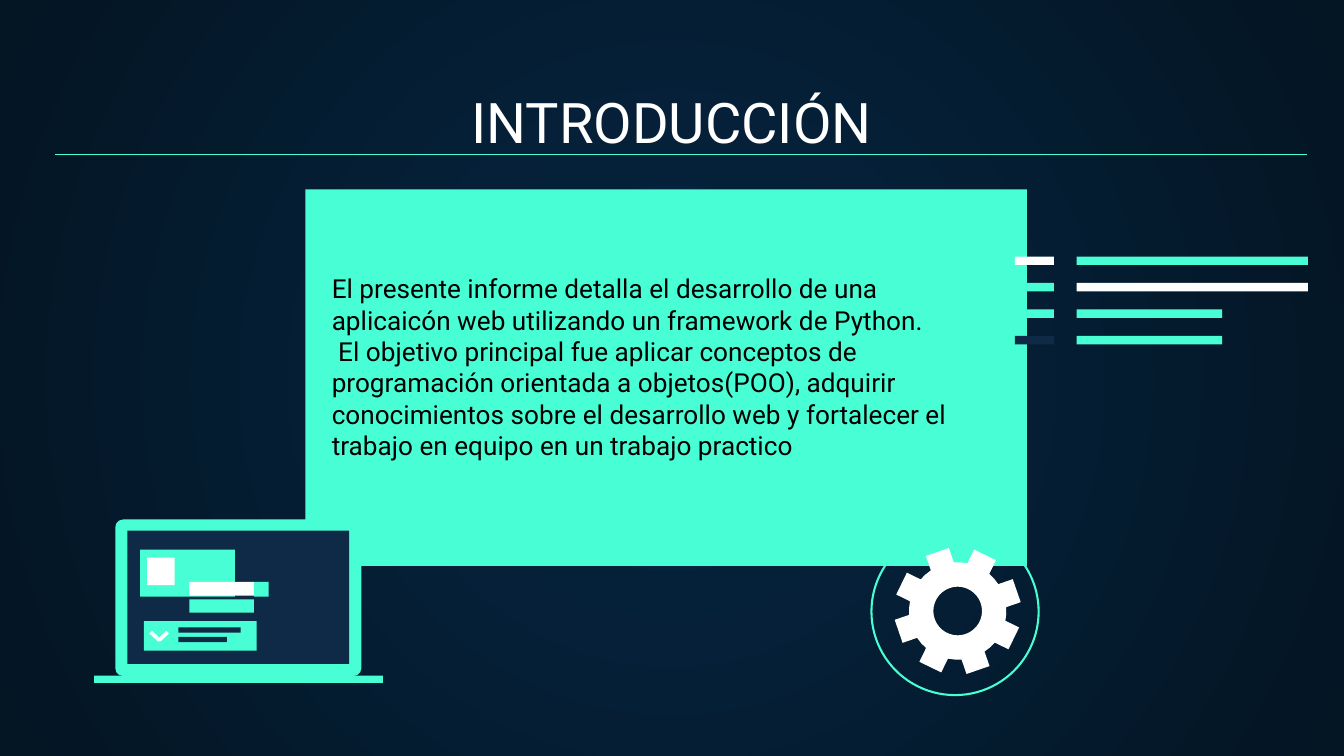
from dataclasses import dataclass
from math import asin, cos, radians, sin

from lxml.etree import SubElement
from pptx import Presentation
from pptx.dml.color import RGBColor as Color
from pptx.enum.shapes import MSO_CONNECTOR as Connector, MSO_SHAPE as Shape
from pptx.enum.text import MSO_ANCHOR as Anchor, MSO_AUTO_SIZE as Fit, PP_ALIGN as Align
from pptx.oxml.ns import qn
from pptx.util import Cm, Pt


@dataclass(frozen=True)
class Theme:
    mint: Color = Color.from_string("48FFD5")
    white: Color = Color.from_string("FFFFFF")
    navy: Color = Color.from_string("0E2A47")
    black: Color = Color.from_string("000000")
    glow: Color = Color.from_string("052643")
    edge: Color = Color.from_string("041523")
    font: str = "Roboto"
    title: Pt = Pt(30)
    body: Pt = Pt(14)
    rule: Pt = Pt(0.75)
    ring: Pt = Pt(1.1)
    chevron: Pt = Pt(2)


def paint(shape, fill=None, line=None, width=None):
    shape.shadow.inherit = False
    if fill is None:
        shape.fill.background()
    else:
        shape.fill.solid()
        shape.fill.fore_color.rgb = fill
    if line is None:
        shape.line.fill.background()
    else:
        shape.line.color.rgb = line
        shape.line.width = width


def polar(centre, radius, degrees):
    x, y = centre
    angle = radians(degrees)
    return Cm(x + radius * cos(angle)), Cm(y + radius * sin(angle))


theme = Theme()
deck = Presentation()
deck.slide_width, deck.slide_height = Cm(25.4), Cm(14.29)
page = deck.slides.add_slide(deck.slide_layouts[0])
shapes = page.shapes

backdrop = page.background.fill
backdrop.gradient()
for stop, color in zip(backdrop.gradient_stops, (theme.glow, theme.edge)):
    stop.color.rgb = color
gradient = page.element.find(".//" + qn("a:gradFill"))
gradient.remove(gradient.find(qn("a:lin")))
circle = SubElement(gradient, qn("a:path"), {"path": "circle"})
SubElement(circle, qn("a:fillToRect"), dict.fromkeys("ltrb", "50000"))

title, body = page.placeholders
panel = shapes.add_shape(Shape.RECTANGLE, Cm(5.77), Cm(3.58), Cm(13.64), Cm(7.12))
paint(panel, theme.mint)
title.element.addprevious(panel.element)

introduction = (
    "El presente informe detalla el desarrollo de una aplicaicón web utilizando un framework de Python.",
    " El objetivo principal fue aplicar conceptos de programación orientada a objetos(POO), "
    "adquirir conocimientos sobre el desarrollo web y fortalecer el trabajo en equipo en un trabajo practico",
)
frame_format = {
    "word_wrap": True,
    "auto_size": Fit.NONE,
    "vertical_anchor": Anchor.BOTTOM,
    **{f"margin_{side}": Cm(0.25) for side in ("left", "top", "right", "bottom")},
}
for box, place, lines, size, color, align in (
    (title, (0.86, 1.5, 23.67, 1.68), ("INTRODUCCIÓN",), theme.title, theme.white, Align.CENTER),
    (body, (6.02, 4.67, 13.16, 4.29), introduction, theme.body, theme.black, Align.LEFT),
):
    for name, value in zip(("left", "top", "width", "height"), place):
        setattr(box, name, Cm(value))
    frame = box.text_frame
    for name, value in frame_format.items():
        setattr(frame, name, value)
    frame.text = "\n".join(lines)
    for para in frame.paragraphs:
        for name, value in {"alignment": align, "space_before": Pt(0), "space_after": Pt(0)}.items():
            setattr(para, name, value)
        for span in para.runs:
            for name, value in {"name": theme.font, "size": size, "bold": False}.items():
                setattr(span.font, name, value)
            span.font.color.rgb = color

underline = shapes.add_connector(Connector.STRAIGHT, Cm(1.04), Cm(2.92), Cm(24.71), Cm(2.92))
underline.line.color.rgb = theme.mint
underline.line.width = theme.rule
SubElement(underline.element.spPr, qn("a:effectLst"))

ring = shapes.add_shape(Shape.ARC, Cm(16.47), Cm(9.98), Cm(3.16), Cm(3.16))
paint(ring, None, theme.mint, theme.ring)
for index, degrees in enumerate((-15, -127)):
    ring.adjustments[index] = degrees * 0.6

hub = (18.1, 11.55)
root, tip, half_tooth, hole = 0.92, 1.18, 0.23, 0.46
reach = (tip**2 + half_tooth**2) ** 0.5
root_angle = asin(half_tooth / root) * 180 / 3.1416
tip_angle = asin(half_tooth / reach) * 180 / 3.1416
outline = []
for tooth in range(8):
    middle = 26 + 45 * tooth
    for radius, offset in (
        (root, -root_angle), (reach, -tip_angle), (reach, tip_angle), (root, root_angle), (root, 22.5),
    ):
        outline.append(polar(hub, radius, middle + offset))
bore = [polar(hub, hole, -10 * step) for step in range(36)]
builder = shapes.build_freeform(*outline[0])
builder.add_line_segments(outline[1:])
builder.move_to(*bore[0])
builder.add_line_segments(bore[1:])
paint(builder.convert_to_shape(), theme.white)

bars = (
    (theme.white, theme.mint, 4.37),
    (theme.mint, theme.white, 4.37),
    (theme.mint, theme.mint, 2.75),
    (theme.navy, theme.mint, 2.75),
)
for row, (tag_color, bar_color, bar_width) in enumerate(bars):
    for left, width, color in ((19.18, 0.74, tag_color), (20.35, bar_width, bar_color)):
        bar = shapes.add_shape(Shape.RECTANGLE, Cm(left), Cm(4.85 + 0.5 * row), Cm(width), Cm(0.16))
        paint(bar, color)

lid = shapes.add_shape(Shape.ROUNDED_RECTANGLE, Cm(2.18), Cm(9.82), Cm(4.65), Cm(2.96))
lid.adjustments[0] = 0.05
paint(lid, theme.mint)
laptop_parts = (
    (2.41, 10.03, 4.19, 2.52, theme.navy),
    (1.78, 12.77, 5.46, 0.14, theme.mint),
    (2.65, 10.39, 1.79, 0.89, theme.mint),
    (2.78, 10.54, 0.52, 0.52, theme.white),
    (2.72, 11.74, 2.13, 0.56, theme.mint),
    (3.37, 11.86, 1.18, 0.1, theme.navy),
    (3.37, 12.04, 0.92, 0.1, theme.navy),
    (3.58, 11.33, 1.22, 0.25, theme.mint),
    (3.58, 11, 1.22, 0.26, theme.white),
    (4.8, 11, 0.28, 0.28, theme.mint),
)
for left, top, width, height, color in laptop_parts:
    part = shapes.add_shape(Shape.RECTANGLE, Cm(left), Cm(top), Cm(width), Cm(height))
    paint(part, color)

builder = shapes.build_freeform(Cm(2.85), Cm(11.95))
builder.add_line_segments([(Cm(3.01), Cm(12.1)), (Cm(3.17), Cm(11.95))], close=False)
paint(builder.convert_to_shape(), None, theme.white, theme.chevron)

deck.save("out.pptx")
